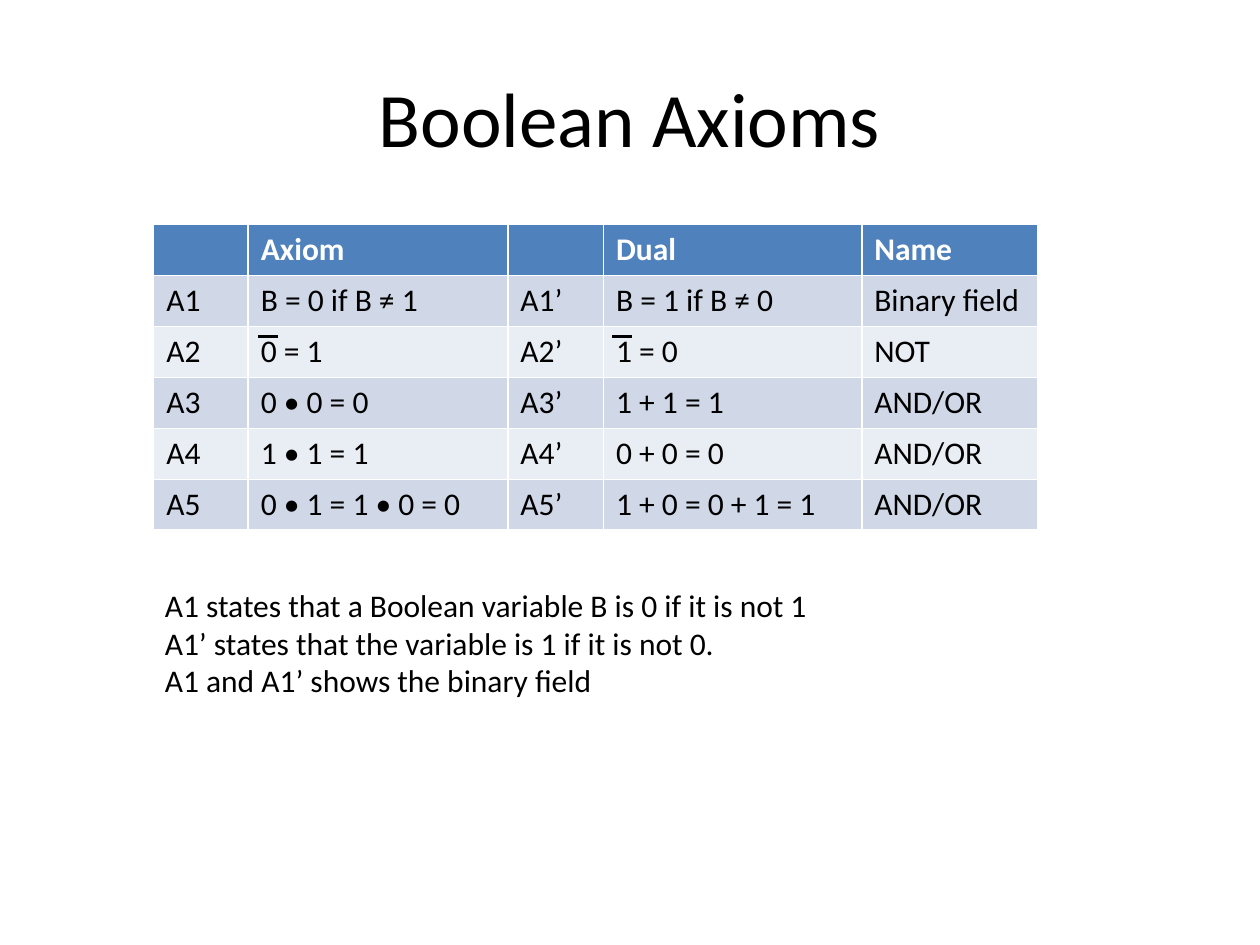
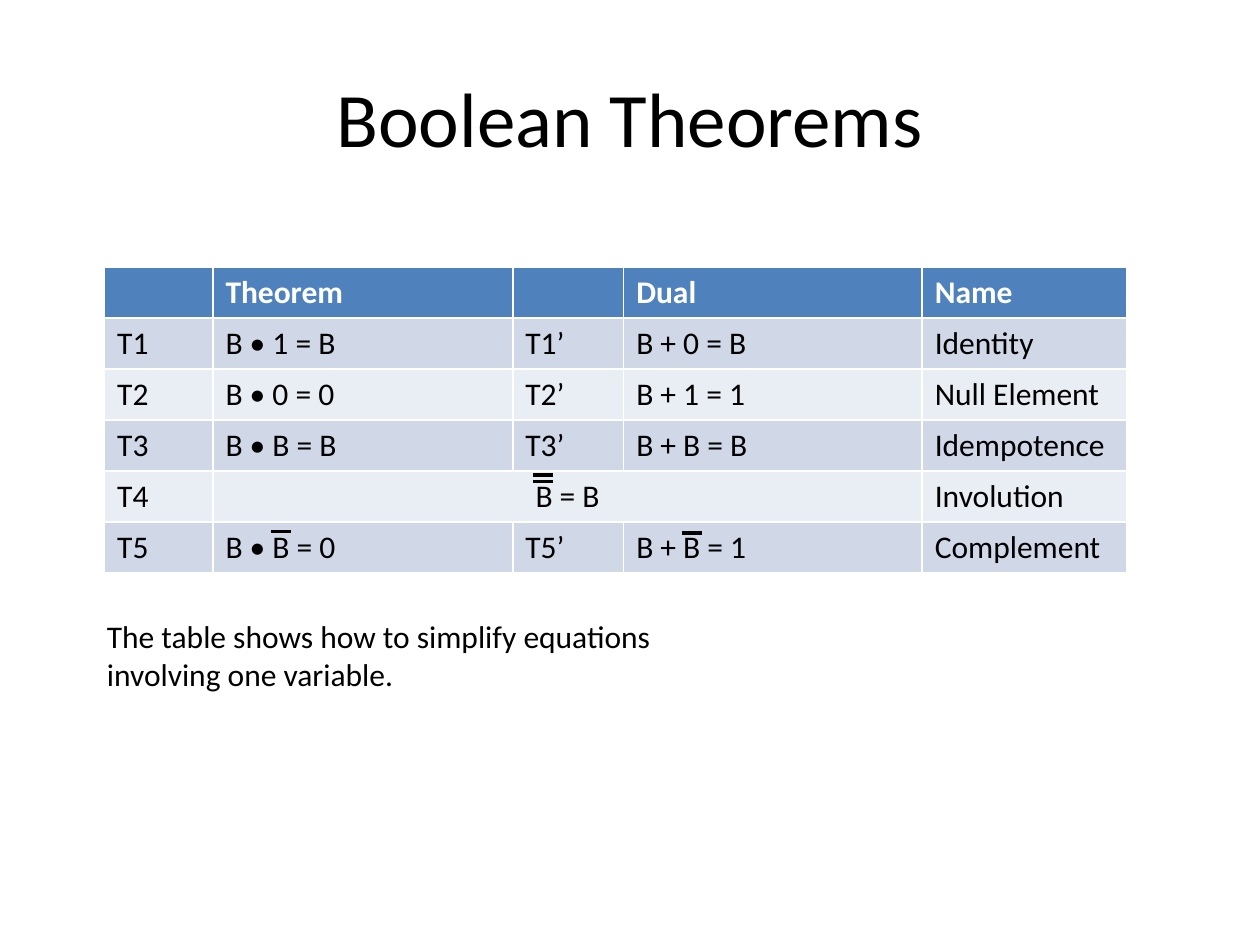
from lxml import etree
from pptx import Presentation
from pptx.dml.color import RGBColor
from pptx.enum.shapes import MSO_CONNECTOR
from pptx.enum.text import MSO_ANCHOR, MSO_AUTO_SIZE, PP_ALIGN
from pptx.oxml.ns import qn
from pptx.util import Inches, Pt

STRAIGHT = MSO_CONNECTOR.STRAIGHT
MIDDLE = MSO_ANCHOR.MIDDLE
FIT_SHAPE = MSO_AUTO_SIZE.SHAPE_TO_FIT_TEXT
LEFT, CENTER = PP_ALIGN.LEFT, PP_ALIGN.CENTER

FONT = "Calibri"
COLORS = {
    "text": "000000",
    "header_text": "FFFFFF",
    "header": "4F81BD",
    "odd_row": "D0D8E8",
    "even_row": "E9EDF4",
}
TITLE_SIZE, BODY_SIZE = 44, 18
TABLE_HEIGHT = 2.43
OVERBAR_LENGTH = 0.16

# Contents: a row of four values has one formula that spans the middle columns
SLIDES = [
    {
        "title": "Boolean Axioms",
        "table_position": (1.22, 1.78),
        "column_widths": [0.75, 2.06, 0.76, 2.05, 1.4],
        "rows": [
            ["", "Axiom", "", "Dual", "Name"],
            ["A1", "B = 0 if B ≠ 1", "A1’", "B = 1 if B ≠ 0", "Binary field"],
            ["A2", "0 = 1", "A2’", "1 = 0", "NOT"],
            ["A3", "0 • 0 = 0", "A3’", "1 + 1 = 1", "AND/OR"],
            ["A4", "1 • 1 = 1", "A4’", "0 + 0 = 0", "AND/OR"],
            ["A5", "0 • 1 = 1 • 0 = 0", "A5’", "1 + 0 = 0 + 1 = 1", "AND/OR"],
        ],
        "note_box": (1.21, 4.6, 5.98, 1.01),
        "note": [
            "A1 states that a Boolean variable B is 0 if it is not 1",
            "A1’ states that the variable is 1 if it is not 0.",
            "A1 and A1’ shows the binary field",
        ],
        "overbars": [(4.86, 2.67), (2.05, 2.67)],
    },
    {
        "title": "Boolean Theorems",
        "table_position": (0.83, 2.12),
        "column_widths": [0.86, 2.38, 0.88, 2.37, 1.62],
        "rows": [
            ["", "Theorem", "", "Dual", "Name"],
            ["T1", "B • 1 = B", "T1’", "B + 0 = B", "Identity"],
            ["T2", "B • 0 = 0", "T2’", "B + 1 = 1", "Null Element"],
            ["T3", "B • B = B", "T3’", "B + B = B", "Idempotence"],
            ["T4", "B = B", "Involution"],
            ["T5", "B • B = 0", "T5’", "B + B = 1", "Complement"],
        ],
        "note_box": (0.75, 4.85, 5.43, 0.71),
        "note": ["The table shows how to simplify equations involving one variable."],
        "overbars": [(4.23, 3.82), (4.23, 3.77), (2.15, 4.22), (5.41, 4.23)],
    },
]


def add_text(paragraph, text, size=BODY_SIZE, color="text", bold=False, alignment=LEFT):
    paragraph.alignment = alignment
    run = paragraph.add_run()
    run.text = text
    run.font.name = FONT
    run.font.size = Pt(size)
    run.font.bold = bold
    run.font.color.rgb = RGBColor.from_string(COLORS[color])


def add_text_frame(slide, box):
    frame = slide.shapes.add_textbox(*[Inches(length) for length in box]).text_frame
    frame.word_wrap = True
    return frame


presentation = Presentation()
presentation.slide_width = Inches(10)
presentation.slide_height = Inches(7.5)
blank_layout = presentation.slide_layouts[6]

for content in SLIDES:
    slide = presentation.slides.add_slide(blank_layout)

    # Title
    title_frame = add_text_frame(slide, (0.5, 0.3, 9, 1.25))
    title_frame.vertical_anchor = MIDDLE
    add_text(title_frame.paragraphs[0], content["title"], TITLE_SIZE, alignment=CENTER)

    # Note below the table
    note_frame = add_text_frame(slide, content["note_box"])
    note_frame.auto_size = FIT_SHAPE
    for index, line in enumerate(content["note"]):
        paragraph = note_frame.add_paragraph() if index else note_frame.paragraphs[0]
        add_text(paragraph, line)

    # Table: the default style supplies the white borders
    rows, widths = content["rows"], content["column_widths"]
    left, top = content["table_position"]
    table = slide.shapes.add_table(
        len(rows), len(widths), Inches(left), Inches(top),
        Inches(sum(widths)), Inches(TABLE_HEIGHT),
    ).table
    for column, width in zip(table.columns, widths):
        column.width = Inches(width)

    for row_index, values in enumerate(rows):
        is_header = row_index == 0
        fill = "header" if is_header else "odd_row" if row_index % 2 else "even_row"
        for column_index in range(len(widths)):
            cell = table.cell(row_index, column_index)
            cell.fill.solid()
            cell.fill.fore_color.rgb = RGBColor.from_string(COLORS[fill])

        is_spanning = len(values) < len(widths)
        if is_spanning:
            table.cell(row_index, 1).merge(table.cell(row_index, 3))
        columns = [0, 1, 4] if is_spanning else range(len(widths))
        for column_index, value in zip(columns, values):
            if value:
                add_text(
                    table.cell(row_index, column_index).text_frame.paragraphs[0],
                    value,
                    color="header_text" if is_header else "text",
                    bold=is_header,
                    alignment=CENTER if is_spanning and column_index == 1 else LEFT,
                )

    # Overbars marking negated terms
    for left, top in content["overbars"]:
        overbar = slide.shapes.add_connector(
            STRAIGHT, Inches(left), Inches(top), Inches(left + OVERBAR_LENGTH), Inches(top)
        )
        overbar.line.color.rgb = RGBColor.from_string(COLORS["text"])
        overbar.line.width = Pt(1.75)
        etree.SubElement(overbar._element.spPr, qn("a:effectLst"))

presentation.save("out.pptx")
